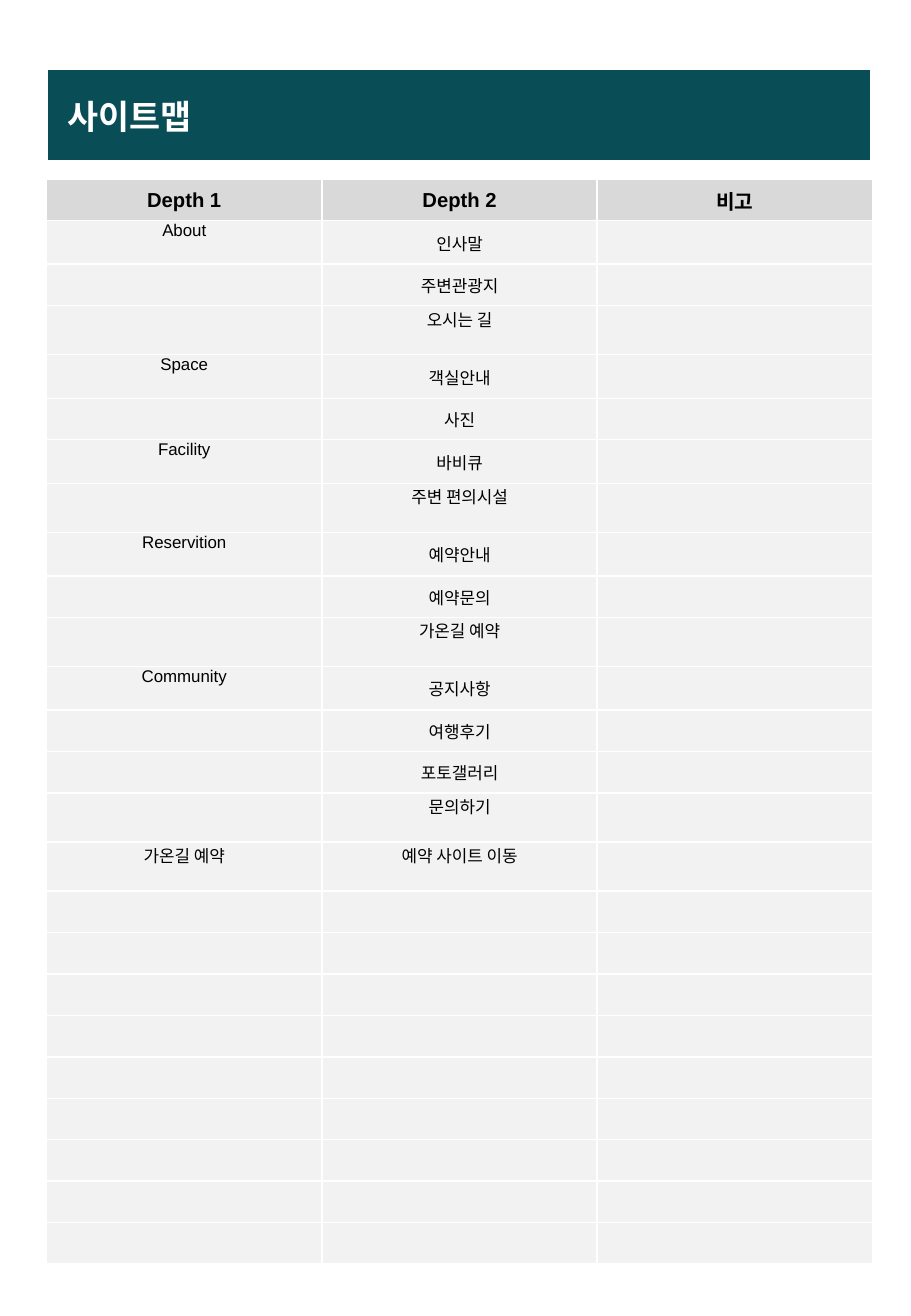
from lxml import etree
from pptx import Presentation, util as u
from pptx.dml import color
from pptx.enum import text
from pptx.oxml import ns

PX = 914400 // 240
COLORS = {"banner": "094D56", "header": "D9D9D9", "body": "F2F2F2",
          "ink": "000000", "white": "FFFFFF"}
HEADER = ["Depth 1", "Depth 2", "비고"]
SITEMAP = [
    ("About", ["인사말", "주변관광지", "오시는 길"]),
    ("Space", ["객실안내", "사진"]),
    ("Facility", ["바비큐", "주변 편의시설"]),
    ("Reservition", ["예약안내", "예약문의", "가온길 예약"]),
    ("Community", ["공지사항", "여행후기", "포토갤러리", "문의하기"]),
    ("가온길 예약", ["예약 사이트 이동"]),
]
TALL_PAGES = {"오시는 길", "주변 편의시설", "가온길 예약", "문의하기", "예약 사이트 이동"}
EMPTY_ROWS = 9
HEADER_HEIGHT, FIRST_HEIGHT, ROW_HEIGHT, TALL_HEIGHT = 81, 86, 82, 97
TOP, MIDDLE = text.MSO_ANCHOR.TOP, text.MSO_ANCHOR.MIDDLE


class SlideBuilder:
    latin_font = "Arial"
    korean_font = "Noto Sans CJK KR"

    def __init__(self, presentation):
        self.slide = presentation.slides.add_slide(presentation.slide_layouts[6])

    def table(self, left, top, widths, heights):
        frame = self.slide.shapes.add_table(
            len(heights), len(widths), left * PX, top * PX,
            sum(widths) * PX, sum(heights) * PX)
        table = frame.table
        table.first_row = table.horz_banding = False
        for column, width in zip(table.columns, widths):
            column.width = width * PX
        for row, height in zip(table.rows, heights):
            row.height = height * PX
        return table

    def borders(self, cell, sides):
        properties = cell._tc.get_or_add_tcPr()
        for position, side in enumerate(sides):
            line = etree.Element(ns.qn(f"a:ln{side}"), w=str(u.Pt(1)))
            fill = etree.SubElement(line, ns.qn("a:solidFill"))
            etree.SubElement(fill, ns.qn("a:srgbClr"), val=COLORS["white"])
            properties.insert(position, line)

    def cell(self, cell, words, fill, size=10, bold=False, ink="ink",
             anchor=MIDDLE, align=text.PP_ALIGN.CENTER, sides="LRTB"):
        cell.fill.solid()
        cell.fill.fore_color.rgb = color.RGBColor.from_string(COLORS[fill])
        self.borders(cell, sides)
        cell.vertical_anchor = anchor
        paragraph = cell.text_frame.paragraphs[0]
        paragraph.alignment = align
        if words:
            self.run(paragraph, words, size, bold, ink)

    def tight_cell(self, cell, words, fill, **style):
        cell.margin_left = cell.margin_right = cell.margin_top = 2 * PX
        cell.margin_bottom = 0
        self.cell(cell, words, fill, **style)

    def run(self, paragraph, words, size, bold, ink):
        run = paragraph.add_run()
        run.text = words
        run.font.size = u.Pt(size)
        run.font.bold = bold
        run.font.name = self.latin_font
        run.font.color.rgb = color.RGBColor.from_string(COLORS[ink])
        latin = run._r.rPr.find(ns.qn("a:latin"))
        latin.addnext(etree.Element(ns.qn("a:ea"), typeface=self.korean_font))


def row_height(section, page):
    if page in TALL_PAGES:
        return TALL_HEIGHT
    return FIRST_HEIGHT if section else ROW_HEIGHT


def main():
    presentation = Presentation()
    presentation.slide_width = 1800 * PX
    presentation.slide_height = 2600 * PX
    builder = SlideBuilder(presentation)

    rows = [("" if index else section, page, "")
            for section, pages in SITEMAP for index, page in enumerate(pages)]
    rows += [("", "", "")] * EMPTY_ROWS
    heights = [HEADER_HEIGHT] + [row_height(section, page) for section, page, _ in rows]
    sitemap = builder.table(92, 355, [544] * 3, heights)
    for column, title in enumerate(HEADER):
        builder.tight_cell(sitemap.cell(0, column), title, "header", size=12, bold=True)
    for number, row in enumerate(rows, 1):
        anchors = [TOP, TOP if row[1] in TALL_PAGES else MIDDLE, MIDDLE]
        for column, (words, anchor) in enumerate(zip(row, anchors)):
            builder.tight_cell(sitemap.cell(number, column), words, "body", anchor=anchor)

    banner = builder.table(94, 137, [1627], [180])
    builder.cell(banner.cell(0, 0), " 사이트맵", "banner", size=20, bold=True,
                 ink="white", align=text.PP_ALIGN.LEFT, sides="B")
    presentation.save("out.pptx")


if __name__ == "__main__":
    main()
